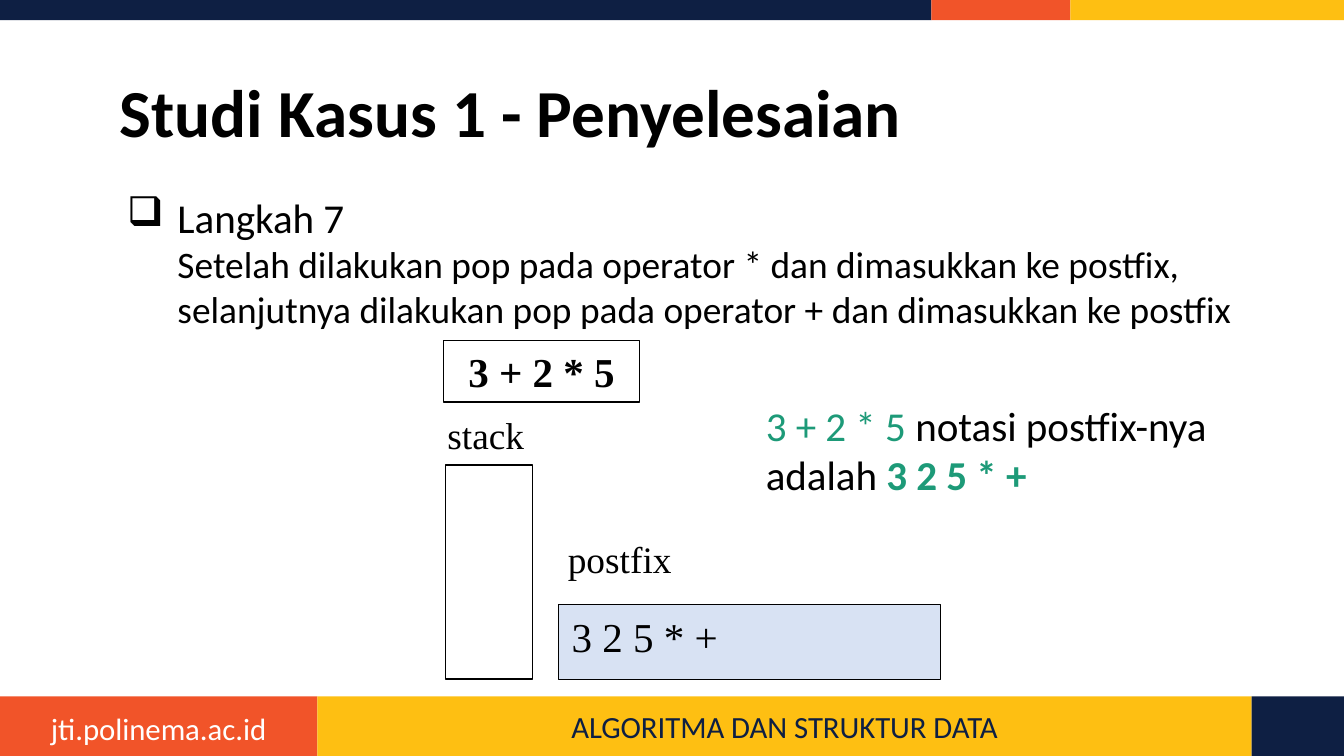
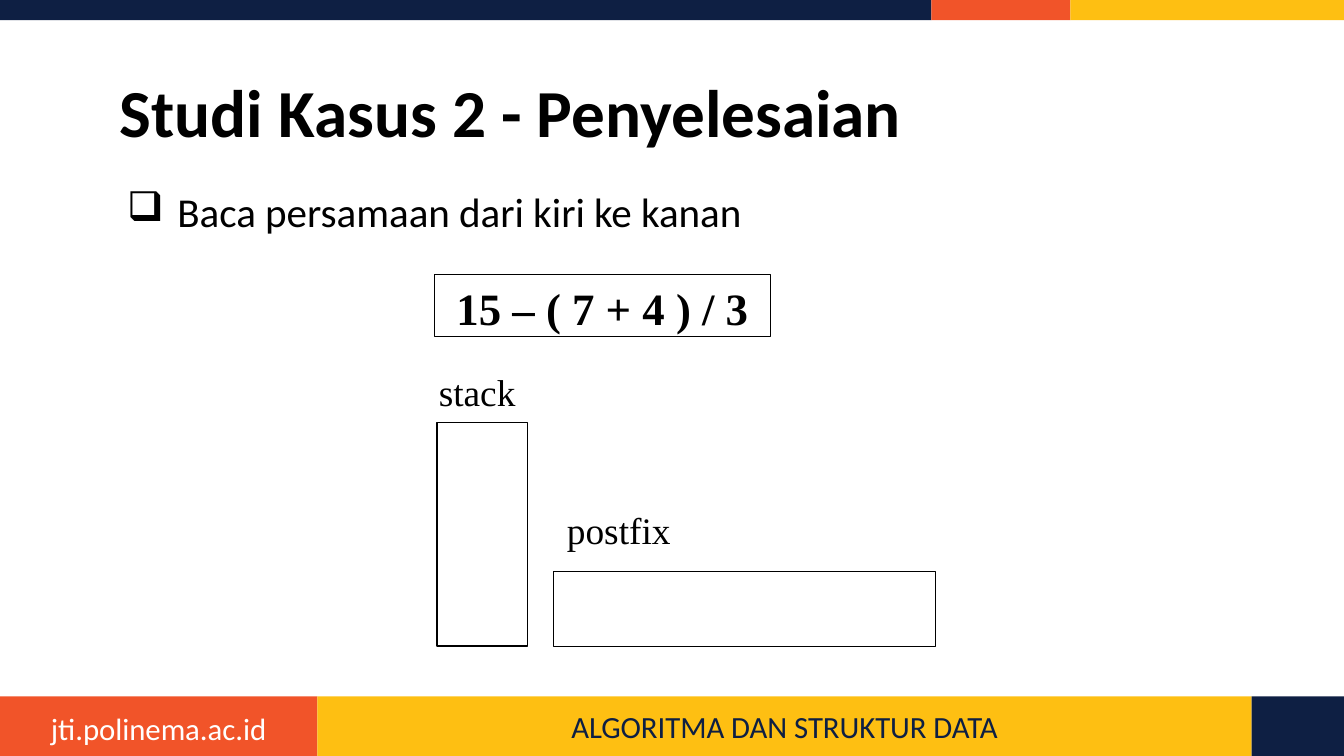
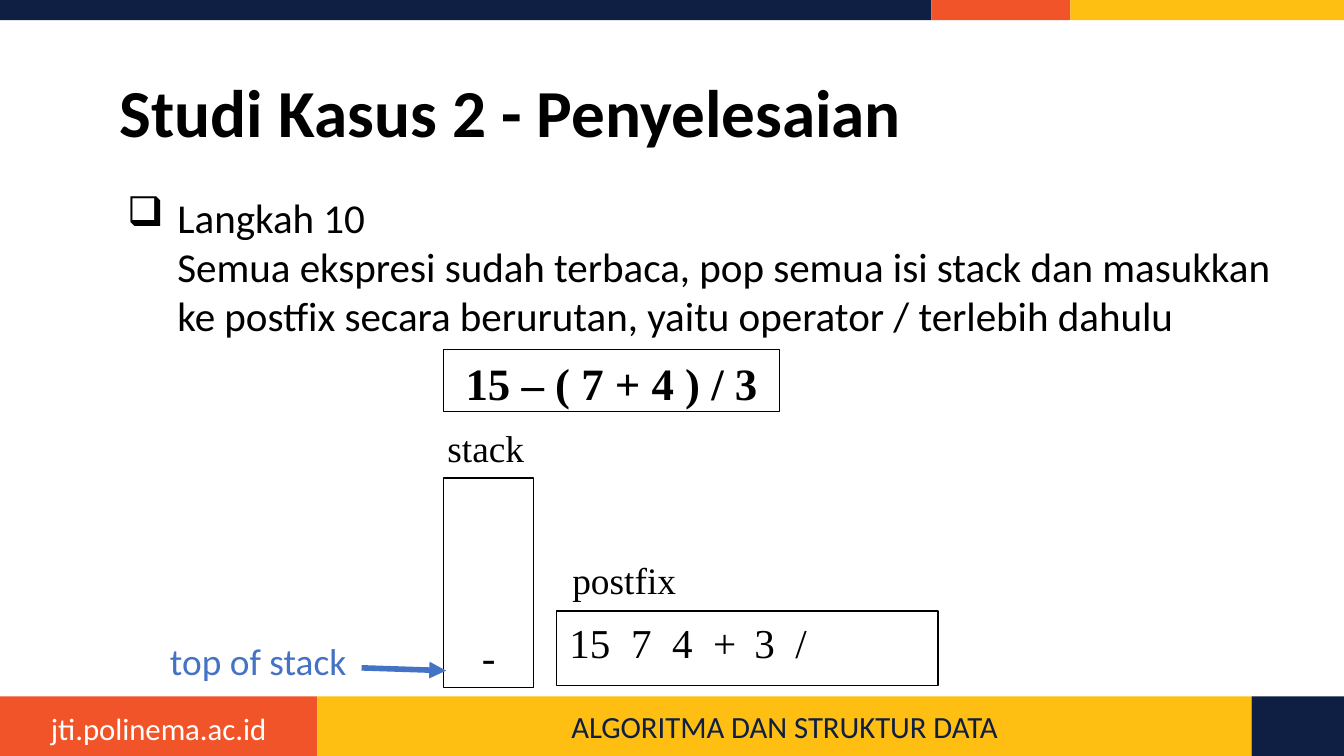
from dataclasses import dataclass
from typing import Any

import lxml.etree
import pptx
import pptx.dml.color
import pptx.enum.shapes
import pptx.enum.text
import pptx.oxml.ns
import pptx.util

Pt = pptx.util.Pt
RGBColor = pptx.dml.color.RGBColor
ALIGN = pptx.enum.text.PP_ALIGN
ANCHOR = pptx.enum.text.MSO_ANCHOR
qn = pptx.oxml.ns.qn

NAVY = RGBColor(0x0E, 0x1F, 0x43)
ORANGE = RGBColor(0xF1, 0x54, 0x29)
YELLOW = RGBColor(0xFE, 0xBF, 0x12)
WHITE = RGBColor(0xFF, 0xFF, 0xFF)
BLACK = RGBColor(0x00, 0x00, 0x00)
PALE = RGBColor(0xD8, 0xE2, 0xF3)
GREEN = RGBColor(0x1D, 0x9A, 0x78)
BLUE = RGBColor(0x44, 0x72, 0xC4)

SANS = "Calibri"
SERIF = "Times New Roman"
WIDTH, HEIGHT = 720, 405
FOOT_TOP = 373
STOPS = [33 + 22 * step for step in range(5)]


@dataclass(frozen=True)
class Box:
    left: float
    top: float
    width: float
    height: float


@dataclass(frozen=True)
class Band:
    width: float
    color: RGBColor


@dataclass(frozen=True)
class Sketch:
    sum: str
    size: float
    sum_box: Box
    stack: Box
    stack_tag: Box
    postfix: Box
    postfix_tag: Box
    top: str = ""
    result: str = ""
    fill: RGBColor = WHITE


HEAD = [Band(499, NAVY), Band(74.5, ORANGE), Band(146.5, YELLOW)]
FOOT = [Band(170, ORANGE), Band(500.5, YELLOW), Band(49.5, NAVY)]


def write(frame: Any, text: str, *, size: float = 22, font: str = SANS,
          color: RGBColor = BLACK, bold: bool = False,
          align: Any = ALIGN.LEFT, spacing: float = 1.0) -> None:
    para = frame.paragraphs[0]
    para.alignment = align
    para.line_spacing = spacing
    for index, line in enumerate(text.split("\n")):
        if index:
            para.add_line_break()
        if line:
            run = para.add_run()
            run.text = line
            run.font.size = Pt(size)
            run.font.name = font
            run.font.bold = bold
            run.font.color.rgb = color


def setup(frame: Any, pad: float = 3.6, anchor: Any = ANCHOR.TOP) -> Any:
    frame.word_wrap = True
    frame.vertical_anchor = anchor
    frame.margin_left = frame.margin_right = Pt(7.2)
    frame.margin_top = frame.margin_bottom = Pt(pad)
    return frame


def spot(box: Box) -> list[Any]:
    return [Pt(side) for side in (box.left, box.top, box.width, box.height)]


def label(slide: Any, box: Box, pad: float = 3.6) -> Any:
    return setup(slide.shapes.add_textbox(*spot(box)).text_frame, pad)


def block(slide: Any, box: Box, fill: RGBColor, edge: bool = False,
          anchor: Any = ANCHOR.TOP) -> Any:
    shape = slide.shapes.add_shape(
        pptx.enum.shapes.MSO_SHAPE.RECTANGLE, *spot(box))
    shape.shadow.inherit = False
    shape.fill.solid()
    shape.fill.fore_color.rgb = fill
    if edge:
        shape.line.color.rgb = BLACK
        shape.line.width = Pt(0.75)
    else:
        shape.line.fill.background()
    return setup(shape.text_frame, anchor=anchor)


def strip(slide: Any, bands: list[Band], top: float, height: float) -> list[Any]:
    frames, left = [], 0.0
    for band in bands:
        box = Box(left, top, band.width, height)
        frames.append(block(slide, box, band.color, anchor=ANCHOR.MIDDLE))
        left += band.width
    return frames


def bullet(frame: Any) -> None:
    props = frame.paragraphs[0]._p.get_or_add_pPr()
    props.set("marL", str(Pt(31)))
    props.set("indent", str(Pt(-27)))
    tint = lxml.etree.SubElement(props, qn("a:buClr"))
    lxml.etree.SubElement(tint, qn("a:srgbClr")).set("val", str(BLACK))
    lxml.etree.SubElement(props, qn("a:buChar")).set("char", "❑")


def tabs(frame: Any, stops: list[int]) -> None:
    props = frame.paragraphs[0]._p.get_or_add_pPr()
    group = lxml.etree.SubElement(props, qn("a:tabLst"))
    for stop in stops:
        tab = lxml.etree.SubElement(group, qn("a:tab"))
        tab.set("pos", str(Pt(stop)))
        tab.set("algn", "l")


def arrow(slide: Any, start: tuple[float, float], end: tuple[float, float]) -> None:
    line = slide.shapes.add_connector(
        pptx.enum.shapes.MSO_CONNECTOR.STRAIGHT,
        *[Pt(value) for value in start + end])
    line.line.color.rgb = BLUE
    line.line.width = Pt(3)
    tail = lxml.etree.SubElement(line.line._get_or_add_ln(), qn("a:tailEnd"))
    tail.set("type", "triangle")
    lxml.etree.SubElement(line._element.spPr, qn("a:effectLst"))


def start(deck: Any, title: str, width: float) -> tuple[Any, Any]:
    slide = deck.slides.add_slide(deck.slide_layouts[6])
    strip(slide, HEAD, 0, 10.8)
    foot = strip(slide, FOOT, FOOT_TOP, HEIGHT - FOOT_TOP)
    write(foot[1], "ALGORITMA DAN STRUKTUR DATA", size=16.5, color=NAVY,
          align=ALIGN.CENTER)
    site = label(slide, Box(0, 376.5, FOOT[0].width, 27.5))
    write(site, "jti.polinema.ac.id", size=16.5, color=WHITE, align=ALIGN.CENTER)
    head = label(slide, Box(57, 35.3, 607, 45.4), 7.2)
    write(head, title, size=36, bold=True, spacing=0.9)
    body = label(slide, Box(57, 95.8, width, 266.4), 7.2)
    bullet(body)
    return slide, body


def draw(slide: Any, art: Sketch) -> None:
    stack = block(slide, art.stack, WHITE, True, ANCHOR.BOTTOM)
    write(stack, art.top, font=SERIF, align=ALIGN.CENTER)
    write(block(slide, art.sum_box, WHITE, True), art.sum, size=art.size,
          font=SERIF, bold=True, align=ALIGN.CENTER)
    postfix = block(slide, art.postfix, art.fill, True)
    if "\t" in art.result:
        tabs(postfix, STOPS)
    write(postfix, art.result, font=SERIF)
    for box, text in ((art.stack_tag, "stack"), (art.postfix_tag, "postfix")):
        write(label(slide, box), text, size=20, font=SERIF)


def first(deck: Any) -> None:
    slide, body = start(deck, "Studi Kasus 1 - Penyelesaian", 643)
    write(body, "Langkah 7\n")
    write(body, "Setelah dilakukan pop pada operator * dan dimasukkan ke postfix, "
          "selanjutnya dilakukan pop pada operator + dan dimasukkan ke postfix",
          size=20)
    draw(slide, Sketch(
        "3 + 2 * 5", 22, Box(237.6, 182.3, 104.9, 33.2),
        Box(238.8, 249.2, 46.4, 114.7), Box(232.6, 217.4, 60.5, 27.4),
        Box(299.2, 324, 204.6, 40.1), Box(297.1, 283.7, 82, 27.4),
        result="3 2 5 * +", fill=PALE))
    note = label(slide, Box(403.2, 211, 255, 60.5))
    write(note, "3 + 2 * 5 ", color=GREEN)
    write(note, "notasi postfix-nya adalah ")
    write(note, "3 2 5 * +", color=GREEN, bold=True)


def second(deck: Any) -> None:
    slide, body = start(deck, "Studi Kasus 2 - Penyelesaian", 607)
    write(body, "Baca persamaan dari kiri ke kanan", spacing=0.9)
    draw(slide, Sketch(
        "15 – ( 7 + 4 ) / 3", 24, Box(232.7, 147, 180, 33.2),
        Box(234.2, 226.5, 48.4, 119.7), Box(228, 194.4, 60.5, 27.4),
        Box(296.5, 306.2, 204.6, 40.1), Box(296.6, 268.4, 82, 27.4)))


def third(deck: Any) -> None:
    slide, body = start(deck, "Studi Kasus 2 - Penyelesaian", 637)
    write(body, "Langkah 10\nSemua ekspresi sudah terbaca, pop semua isi stack "
          "dan masukkan ke postfix secara berurutan, yaitu operator / "
          "terlebih dahulu")
    draw(slide, Sketch(
        "15 – ( 7 + 4 ) / 3", 24, Box(237.6, 187.2, 180, 33.2),
        Box(237.6, 256.2, 48.4, 112.2), Box(232.6, 224, 60.5, 27.4),
        Box(298, 327.3, 204.6, 40.1), Box(299.5, 295.2, 82, 27.4),
        top="-", result="15\t7\t4\t+\t3\t/"))
    write(label(slide, Box(77.8, 338.4, 121, 31.7)), "top of stack", size=20,
          color=BLUE, align=ALIGN.CENTER)
    arrow(slide, (193.7, 357.8), (239, 359.3))


def main() -> None:
    deck = pptx.Presentation()
    deck.slide_width, deck.slide_height = Pt(WIDTH), Pt(HEIGHT)
    for build in (first, second, third):
        build(deck)
    deck.save("out.pptx")


if __name__ == "__main__":
    main()
